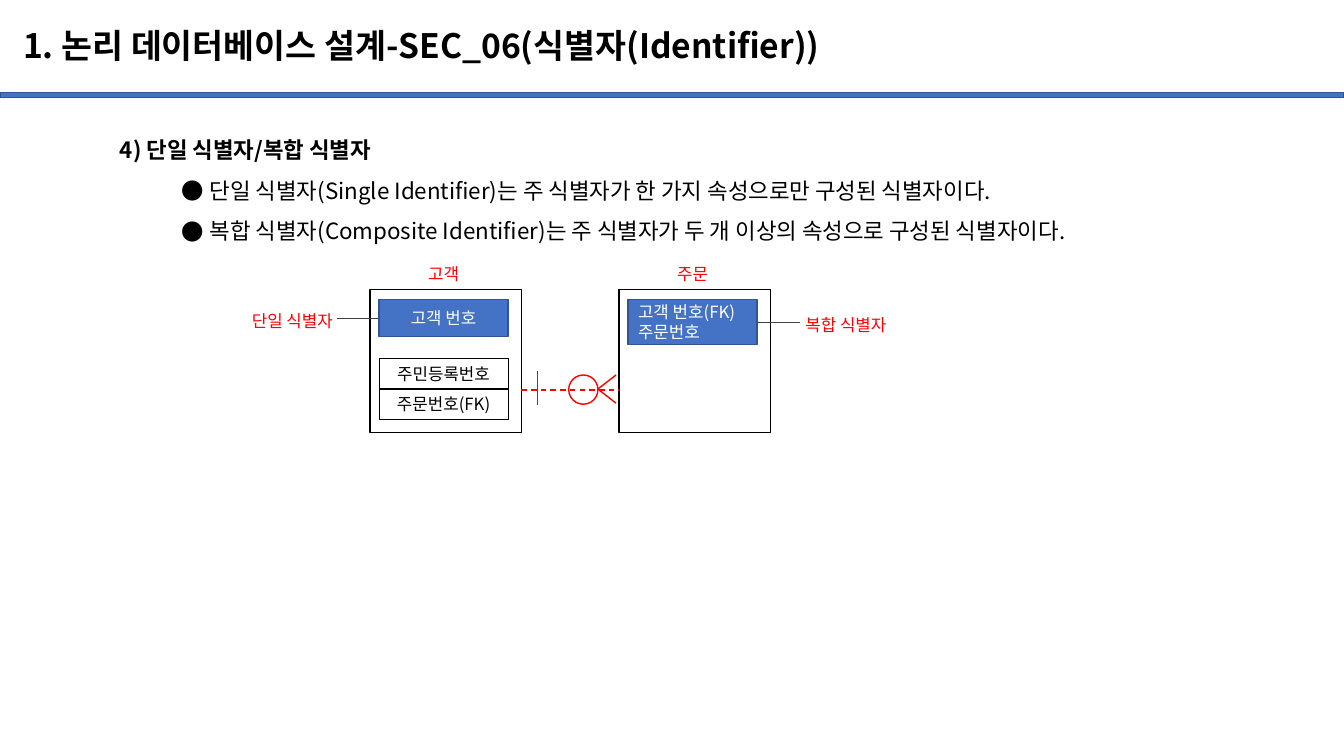
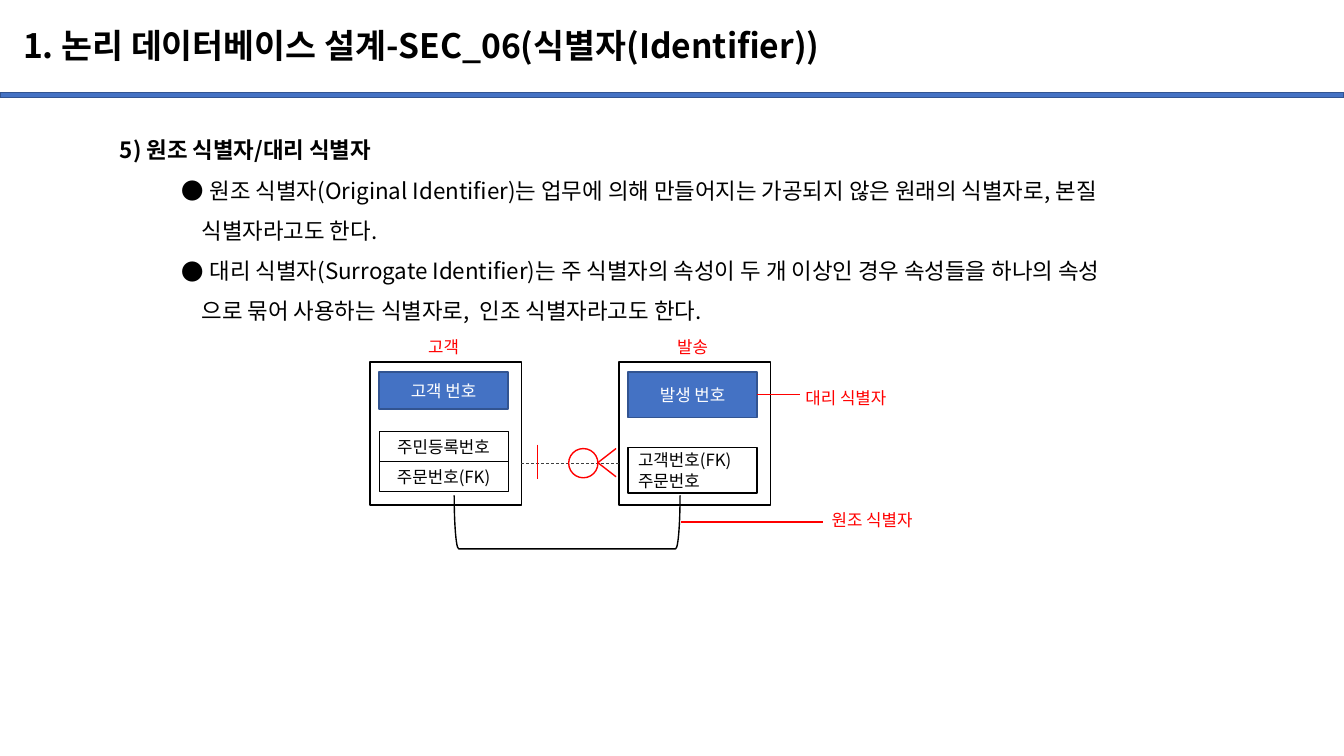
"""Build two slides on kinds of database identifiers."""
from dataclasses import dataclass

from lxml import etree
from pptx import Presentation
from pptx import util as u
from pptx.dml import color
from pptx.enum import dml, shapes, text
from pptx.oxml import ns

I = u.Inches


@dataclass(frozen=True)
class Theme:
    """Colours, font and type sizes of the deck."""
    font: str = "Noto Sans CJK KR"
    blue: str = "4472C4"
    edge: str = "325491"
    red: str = "FF0000"
    gray: str = "404040"
    black: str = "000000"
    white: str = "FFFFFF"
    title: int = 24
    body: int = 16
    label: int = 12


T = Theme()
TITLE = "1. 논리 데이터베이스 설계-SEC_06(식별자(Identifier))"
BOX_W, BOX_H, GAP = 1.5, 1.42, 0.97
PAD, CELL_W, CELL_H = 0.09, 1.28, 0.3


def rgb(value):
    """Return a colour object for a hex string."""
    return color.RGBColor.from_string(value)


def write(p, content, size=T.label, ink=T.black, bold=False, align="LEFT", spacing=None):
    """Put formatted text in a paragraph."""
    p.alignment = getattr(text.PP_ALIGN, align)
    p.space_before = u.Pt(0)
    if spacing:
        p.line_spacing = spacing
    r = p.add_run()
    r.text = content
    r.font.size, r.font.bold, r.font.name = u.Pt(size), bold, T.font
    r.font.color.rgb = rgb(ink)
    etree.SubElement(r._r.get_or_add_rPr(), ns.qn("a:ea"), typeface=T.font)


def paragraphs(tf, count):
    """Return the first paragraph of a frame and as many new ones as needed."""
    return [tf.paragraphs[0]] + [tf.add_paragraph() for _ in range(count - 1)]


def shape(s, kind, x, y, w, h, fill=None, line=T.black, width=1, lines=(), **fmt):
    """Add a preset shape with optional lines of text."""
    sp = s.shapes.add_shape(getattr(shapes.MSO_SHAPE, kind), I(x), I(y), I(w), I(h))
    sp.shadow.inherit = False
    if fill:
        sp.fill.solid()
        sp.fill.fore_color.rgb = rgb(fill)
    else:
        sp.fill.background()
    sp.line.color.rgb, sp.line.width = rgb(line), u.Pt(width)
    if lines:
        sp.text_frame.vertical_anchor = text.MSO_ANCHOR.MIDDLE
        for p, content in zip(paragraphs(sp.text_frame, len(lines)), lines):
            write(p, content, **fmt)
    return sp


def label(s, x, y, content):
    """Add a centred red label."""
    tf = s.shapes.add_textbox(I(x), I(y), I(CELL_W), I(CELL_H)).text_frame
    tf.word_wrap = True
    write(tf.paragraphs[0], content, ink=T.red, align="CENTER")


def line(s, x1, y1, x2, y2, ink=T.red, width=1, dash=False):
    """Add a straight connector."""
    c = s.shapes.add_connector(shapes.MSO_CONNECTOR.STRAIGHT, I(x1), I(y1), I(x2), I(y2))
    c.line.color.rgb, c.line.width = rgb(ink), u.Pt(width)
    if dash:
        c.line.dash_style = dml.MSO_LINE.DASH
    etree.SubElement(c._element.spPr, ns.qn("a:effectLst"))
    return c


def entity(s, x, y, name, key, key_h):
    """Draw an entity box with its name and key, and return the key."""
    shape(s, "RECTANGLE", x, y, BOX_W, BOX_H)
    label(s, x + PAD, y - 0.3, name)
    return shape(s, "RECTANGLE", x + PAD, y + 0.1, CELL_W, key_h, T.blue, T.edge,
                 lines=key, ink=T.white, align="LEFT" if len(key) > 1 else "CENTER")


def customer(s, x, y):
    """Draw the customer entity with its attributes and return the key."""
    key = entity(s, x, y, "고객", ["고객 번호"], 0.37)
    for i, name in enumerate(["주민등록번호", "주문번호(FK)"]):
        shape(s, "RECTANGLE", x + PAD, y + 0.69 + i * CELL_H, CELL_W, CELL_H,
              width=0.75, lines=[name], align="CENTER")
    return key


def relation(s, x, y, **fmt):
    """Draw the one-to-many relation from the point where it starts."""
    line(s, x, y, x + GAP, y, dash=True, **fmt)
    line(s, x + 0.16, y - 0.19, x + 0.16, y + 0.15)
    shape(s, "OVAL", x + 0.47, y - 0.15, 0.29, 0.29, line=T.red)
    for end in (-0.15, 0.13):
        line(s, x + 0.76, y - 0.01, x + 0.94, y + end)


def callout(s, key, content, side, **fmt):
    """Name a key with a label and a leader on side -1 (left) or 1 (right)."""
    x = key.left.inches + (key.width.inches if side > 0 else 0)
    y = key.top.inches + key.height.inches / 2
    c = line(s, x + side * 0.42, y, x, y, **fmt)
    c.end_connect(key, 3 if side > 0 else 1)
    label(s, x + (0.24 if side > 0 else -1.5), y - 0.12, content)


def origin(s, x, y):
    """Draw the bracket and label that mark the original identifier."""
    sp = shape(s, "LEFT_BRACKET", x + 1.69, y + 0.47, 0.53, 2.24)
    sp.rotation = 270
    line(s, x + 4.49, y + 1.59, x + 3.08, y + 1.59)
    label(s, x + 4.34, y + 1.42, "원조 식별자")


def place(sp, x, y, w, h):
    """Move and size a shape."""
    sp.left, sp.top, sp.width, sp.height = I(x), I(y), I(w), I(h)


def outline(sp, heading, items):
    """Fill the body with a heading, bullets and indented continuation lines."""
    tf = sp.text_frame
    tf.auto_size = text.MSO_AUTO_SIZE.NONE
    rows = [(heading, 0, 0, True)]
    for first, *rest in items:
        rows.append((first, 0.89, -0.28, False))
        rows += [(more, 0.81, 0, False) for more in rest]
    for p, (content, margin, indent, bold) in zip(paragraphs(tf, len(rows)), rows):
        pr = p._p.get_or_add_pPr()
        pr.set("marL", str(I(margin)))
        pr.set("indent", str(I(indent)))
        if indent:
            etree.SubElement(pr, ns.qn("a:buFont"), typeface=T.font)
            etree.SubElement(pr, ns.qn("a:buChar"), char="●")
        else:
            etree.SubElement(pr, ns.qn("a:buNone"))
        write(p, content, size=T.body, bold=bold, spacing=1.5)


def add_slide(prs, heading, items, height):
    """Add a slide with the shared title and a list."""
    s = prs.slides.add_slide(prs.slide_layouts[1])
    title, body = s.shapes.title, s.placeholders[1]
    place(title, 0.13, 0.1, 12.68, 0.74)
    title.text_frame.vertical_anchor = text.MSO_ANCHOR.MIDDLE
    title.text_frame.auto_size = text.MSO_AUTO_SIZE.NONE
    write(title.text_frame.paragraphs[0], TITLE, size=T.title, bold=True, spacing=0.9)
    place(body, 1.09, 1.17, 11.72, height)
    outline(body, heading, items)
    return s


def share_band(prs, s):
    """Put the title band on the layout that all slides use."""
    sp = shape(s, "RECTANGLE", 0, 0.92, 13.33, 0.05, T.blue, T.edge)
    sp._element.nvSpPr.cNvPr.set("id", "20")
    s.slide_layout.shapes.element.append(sp._element)


def single_composite(prs):
    """Build the slide on single and composite identifiers."""
    s = add_slide(prs, "4) 단일 식별자/복합 식별자", [
        ["단일 식별자(Single Identifier)는 주 식별자가 한 가지 속성으로만 구성된 식별자이다."],
        ["복합 식별자(Composite Identifier)는 주 식별자가 두 개 이상의 속성으로 구성된 식별자이다."],
    ], 1.31)
    x, y = 3.67, 2.87
    left = customer(s, x, y)
    right = entity(s, x + BOX_W + GAP, y, "주문", ["고객 번호(FK)", "주문번호"], 0.45)
    relation(s, x + BOX_W, y + 1)
    callout(s, left, "단일 식별자", -1, ink=T.gray, width=0.5)
    callout(s, right, "복합 식별자", 1, ink=T.gray, width=0.5)
    return s


def original_surrogate(prs):
    """Build the slide on original and surrogate identifiers."""
    s = add_slide(prs, "5) 원조 식별자/대리 식별자", [
        ["원조 식별자(Original Identifier)는 업무에 의해 만들어지는 가공되지 않은 원래의 식별자로, 본질",
         "식별자라고도 한다."],
        ["대리 식별자(Surrogate Identifier)는 주 식별자의 속성이 두 개 이상인 경우 속성들을 하나의 속성",
         "으로 묶어 사용하는 식별자로,  인조 식별자라고도 한다."],
    ], 2.12)
    x, y = 3.67, 3.59
    x2 = x + BOX_W + GAP
    customer(s, x, y)
    right = entity(s, x2, y, "발송", ["발생 번호"], 0.45)
    shape(s, "RECTANGLE", x2 + PAD, y + 0.85, CELL_W, 0.45, lines=["고객번호(FK)", "주문번호"])
    relation(s, x + BOX_W, y + 1.01, ink=T.gray, width=0.5)
    callout(s, right, "대리 식별자", 1)
    origin(s, x, y)


def main():
    """Build and save the deck."""
    prs = Presentation()
    prs.slide_width, prs.slide_height = I(13.33), I(7.5)
    share_band(prs, single_composite(prs))
    original_surrogate(prs)
    prs.save("out.pptx")


if __name__ == "__main__":
    main()
